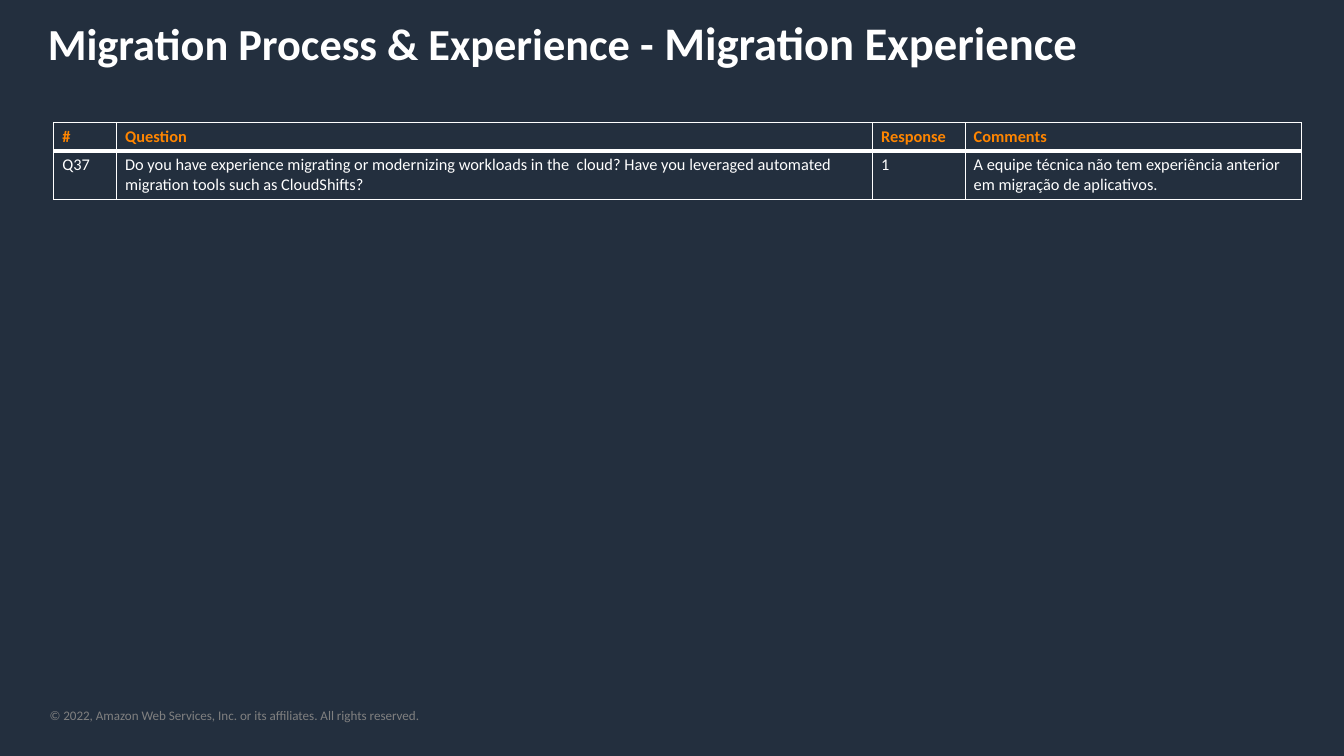
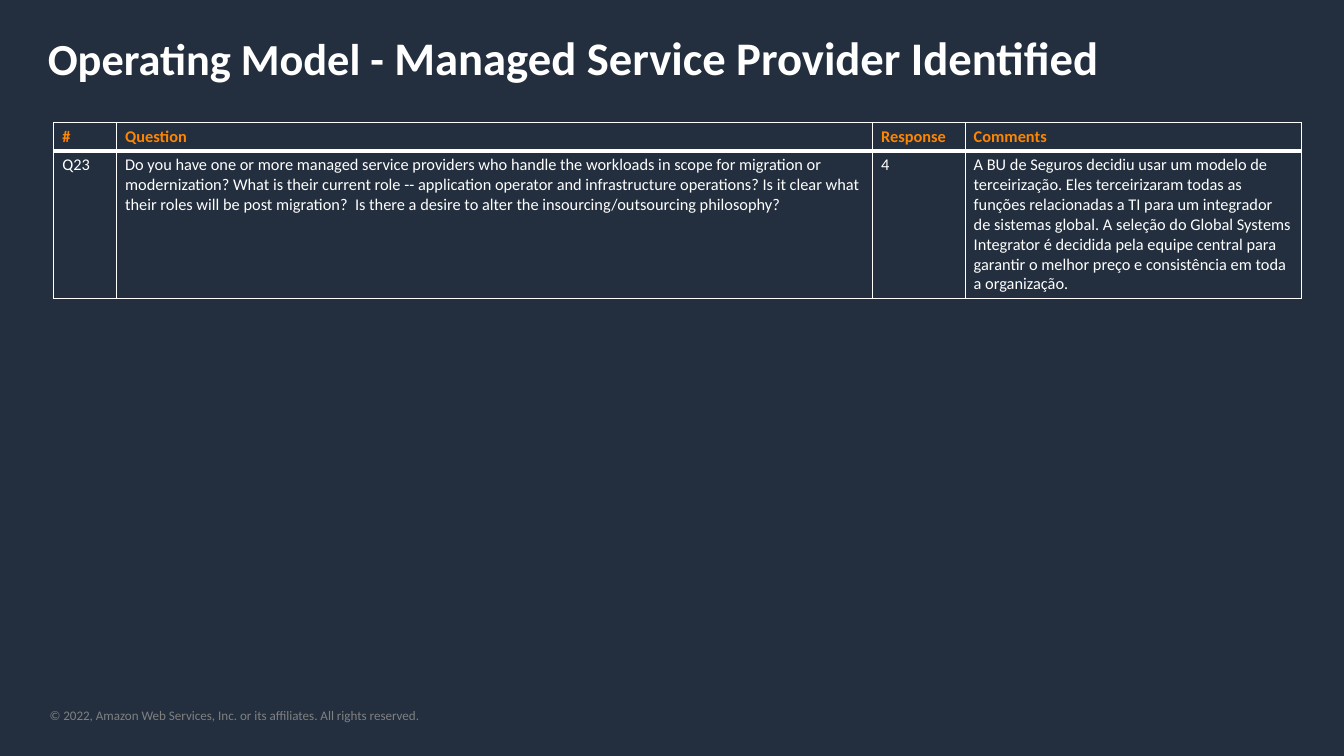
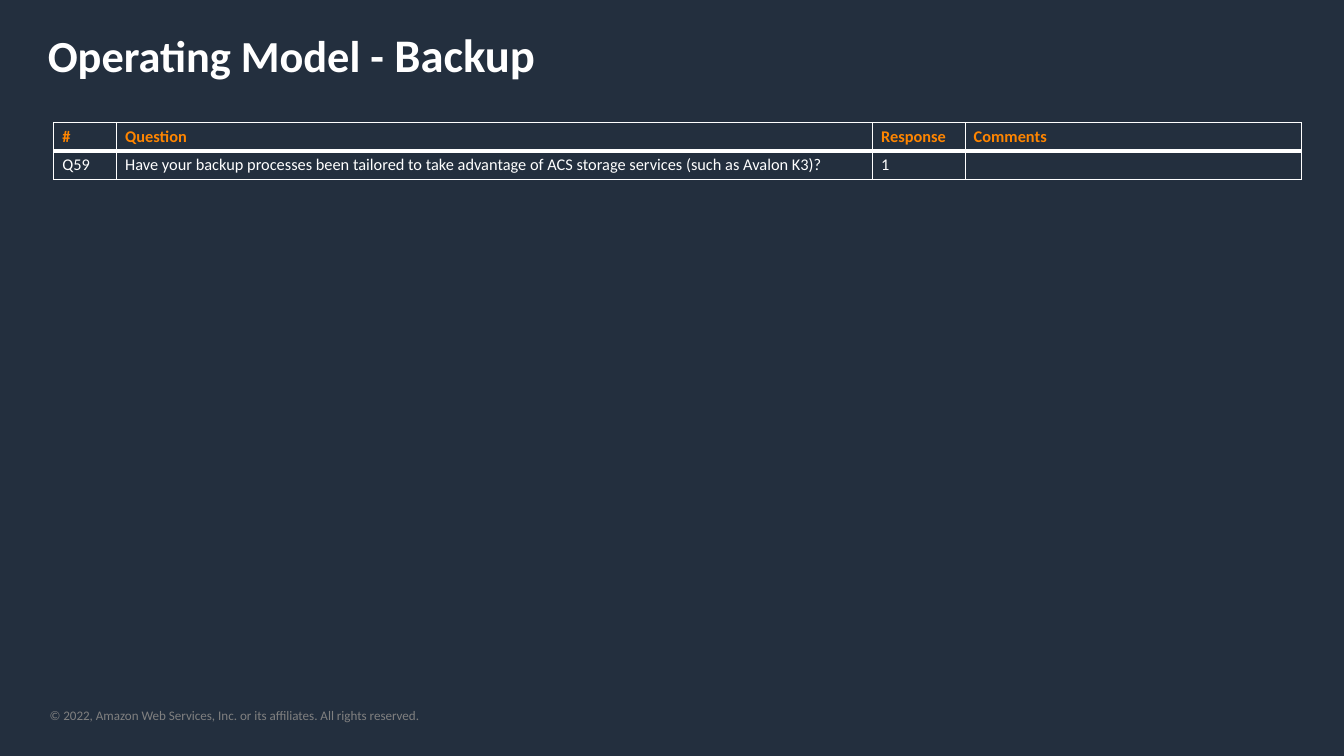
"""Build three assessment slides, each with a title and a question table."""
from lxml import etree
from pptx import Presentation
from pptx.dml.color import RGBColor
from pptx.enum import text
from pptx.oxml.ns import qn
from pptx.util import Cm, Pt

NAVY = RGBColor(0x23, 0x2F, 0x3E)
WHITE = RGBColor(0xFF, 0xFF, 0xFF)
ORANGE = RGBColor(0xFF, 0x85, 0x00)
GRAY = RGBColor(0x80, 0x80, 0x80)

FONT = "Calibri"
SECTION_FORMAT = {"name": FONT, "size": Pt(38), "bold": True}
TOPIC_FORMAT = {**SECTION_FORMAT, "size": Pt(40)}
HEADER_FORMAT = {"name": FONT, "size": Pt(14), "bold": True}
BODY_FORMAT = {**HEADER_FORMAT, "bold": False}
FOOTER_FORMAT = {"name": FONT, "size": Pt(11.2)}

FOOTER = "© 2022, Amazon Web Services, Inc. or its affiliates. All rights reserved."
HEADERS = ("#", "Question", "Response", "Comments")
COLUMN_WIDTHS = (Cm(1.9), Cm(22.86), Cm(2.8), Cm(10.16))
ROW_HEIGHT = Cm(0.71)
THIN, THICK = Pt(1), Pt(3)

SLIDES = [
    {
        "section": "Migration Process & Experience - ",
        "topic": "Migration Experience",
        "title_top": Cm(0.28),
        "answer": (
            "Q37",
            "Do you have experience migrating or modernizing workloads in the  cloud? "
            "Have you leveraged automated migration tools such as CloudShifts?",
            "1",
            "A equipe técnica não tem experiência anterior em migração de aplicativos.",
        ),
    },
    {
        "section": "Operating Model - ",
        "topic": "Managed Service Provider Identified",
        "title_top": Cm(0.76),
        "answer": (
            "Q23",
            "Do you have one or more managed service providers who handle the workloads "
            "in scope for migration or modernization? What is their current role -- "
            "application operator and infrastructure operations? Is it clear what their "
            "roles will be post migration?  Is there a desire to alter the "
            "insourcing/outsourcing philosophy?",
            "4",
            "A BU de Seguros decidiu usar um modelo de terceirização. Eles terceirizaram "
            "todas as funções relacionadas a TI para um integrador de sistemas global. "
            "A seleção do Global Systems Integrator é decidida pela equipe central para "
            "garantir o melhor preço e consistência em toda a organização.",
        ),
    },
    {
        "section": "Operating Model - ",
        "topic": "Backup",
        "title_top": Cm(0.64),
        "answer": (
            "Q59",
            "Have your backup processes been tailored to take advantage of ACS storage "
            "services (such as Avalon K3)?",
            "1",
            "",
        ),
    },
]


def set_attributes(target, values):
    for name, value in values.items():
        setattr(target, name, value)


def add_run(paragraph, words, font_format, color):
    run = paragraph.add_run()
    run.text = words
    set_attributes(run.font, font_format)
    run.font.color.rgb = color


def style_master(presentation, layout):
    background = presentation.slide_master.background.fill
    background.solid()
    background.fore_color.rgb = NAVY
    frame = layout.placeholders[0].text_frame
    set_attributes(frame, {
        "vertical_anchor": text.MSO_ANCHOR.TOP,
        "auto_size": text.MSO_AUTO_SIZE.NONE,
        "word_wrap": True,
    })


def add_layout_footer(slide, layout):
    box = slide.shapes.add_textbox(Cm(1.5), Cm(21.39), Cm(19.76), Cm(0.48))
    set_attributes(box.text_frame, {
        "word_wrap": True,
        "margin_left": 0, "margin_top": 0, "margin_right": 0, "margin_bottom": 0,
    })
    add_run(box.text_frame.paragraphs[0], FOOTER, FOOTER_FORMAT, GRAY)
    layout.shapes._spTree.append(box._element)


def add_title(slide, content):
    title = slide.shapes.title
    set_attributes(title, {
        "left": Cm(1.19), "top": content["title_top"],
        "width": Cm(38.76), "height": Cm(1.96),
    })
    paragraph = title.text_frame.paragraphs[0]
    paragraph.alignment = text.PP_ALIGN.LEFT
    add_run(paragraph, content["section"], SECTION_FORMAT, WHITE)
    add_run(paragraph, content["topic"], TOPIC_FORMAT, WHITE)


def set_borders(cell, widths):
    properties = cell._tc.get_or_add_tcPr()
    for side, width in widths.items():
        line = etree.SubElement(properties, qn(f"a:ln{side}"), w=str(width))
        fill = etree.SubElement(line, qn("a:solidFill"))
        etree.SubElement(fill, qn("a:srgbClr"), val=str(WHITE))


def fill_cell(cell, words, font_format, color, borders):
    set_borders(cell, borders)
    cell.fill.background()
    paragraph = cell.text_frame.paragraphs[0]
    if words:
        add_run(paragraph, words, font_format, color)
    else:
        size = str(int(font_format["size"].pt * 100))
        etree.SubElement(paragraph._p, qn("a:endParaRPr"), sz=size)


def add_question_table(slide, answer):
    rows = [
        (HEADERS, HEADER_FORMAT, ORANGE, {"L": THIN, "R": THIN, "T": THIN, "B": THICK}),
        (answer, BODY_FORMAT, WHITE, {"L": THIN, "R": THIN, "T": THICK, "B": THIN}),
    ]
    table = slide.shapes.add_table(
        len(rows), len(HEADERS), Cm(1.63), Cm(3.71),
        sum(COLUMN_WIDTHS), ROW_HEIGHT * len(rows),
    ).table
    table.horz_banding = False
    for column, width in zip(table.columns, COLUMN_WIDTHS):
        column.width = width
    for row, (values, font_format, color, borders) in zip(table.rows, rows):
        row.height = ROW_HEIGHT
        for cell, words in zip(row.cells, values):
            fill_cell(cell, words, font_format, color, borders)


def main():
    presentation = Presentation()
    presentation.slide_width, presentation.slide_height = Cm(40.64), Cm(22.86)
    layout = presentation.slide_layouts.get_by_name("Title Only")
    style_master(presentation, layout)
    for content in SLIDES:
        slide = presentation.slides.add_slide(layout)
        add_title(slide, content)
        add_question_table(slide, content["answer"])
    add_layout_footer(presentation.slides[0], layout)
    presentation.save("out.pptx")


if __name__ == "__main__":
    main()
